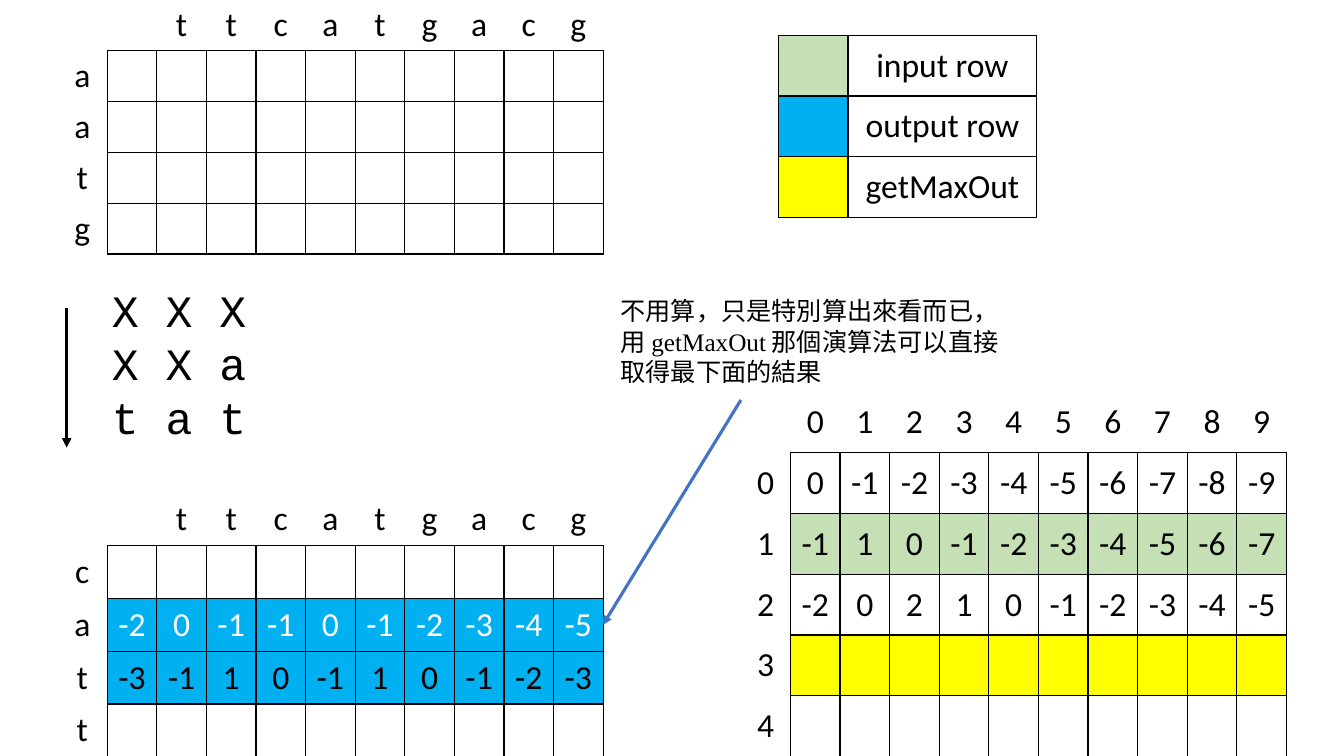
from lxml import etree
from pptx import Presentation
from pptx import util as u
from pptx.dml.color import RGBColor
from pptx.enum import shapes, text
from pptx.oxml import ns

HUES = {"ink": "000000", "pale": "FFFFFF", "input": "C5E0B4",
        "output": "00B0F0", "max": "FFFF00", "link": "4472C4"}
BASES = " ttcatgacg"
EMPTY = [""] * 10

GRIDS = [
    {"at": (1.45, 0), "cols": [1.25] * 11, "row": 1.28, "head": True,
     "rows": [["", *BASES]] + [[base, *EMPTY] for base in "aatg"],
     "fills": {}, "pale": None},
    {"at": (18.67, 9.88), "cols": [1.25] * 11, "row": 1.53, "head": True,
     "rows": [["", *range(10)],
              [0, 0, -1, -2, -3, -4, -5, -6, -7, -8, -9],
              [1, -1, 1, 0, -1, -2, -3, -4, -5, -6, -7],
              [2, -2, 0, 2, 1, 0, -1, -2, -3, -4, -5],
              [3, *EMPTY],
              [4, *EMPTY]],
     "fills": {2: "input", 4: "max"}, "pale": None},
    {"at": (1.45, 12.42), "cols": [1.25] * 11, "row": 1.33, "head": True,
     "rows": [["", *BASES],
              ["c", *EMPTY],
              ["a", -2, 0, -1, -1, 0, -1, -2, -3, -4, -5],
              ["t", -3, -1, 1, 0, -1, 1, 0, -1, -2, -3],
              ["t", *EMPTY]],
     "fills": {2: "output", 3: "output"}, "pale": 2},
    {"at": (19.61, 0.89), "cols": [1.76, 4.76], "row": 1.53, "head": False,
     "rows": [["", "input row"], ["", "output row"], ["", "getMaxOut"]],
     "fills": {0: "input", 1: "output", 2: "max"}, "pale": None},
]

MONO, CJK, SERIF = "Courier New", "Noto Sans CJK SC", "Times New Roman"
NOTES = [
    {"box": (2.57, 6.99, 13.97, 4.37), "size": 32, "lead": None,
     "lines": [[("X X X", MONO)], [("X X a", MONO)], [("t a t", MONO)]]},
    {"box": (15.39, 7.32, 10.16, 2.57), "size": 18, "lead": 21.8,
     "lines": [[("不用算，只是特別算出來看而已，", CJK)],
               [("用 ", CJK), ("getMaxOut", SERIF),
                (" 那個演算法可以直接取得最下面的結果", CJK)]]},
]

ARROWS = [((18.67, 10.08, 15.19, 15.75), "link"),
          ((1.68, 7.77, 1.68, 11.28), "ink")]


def tint(name):
    return RGBColor.from_string(HUES[name])


def style(run, face, size, hue="ink"):
    for key, value in {"name": face, "size": u.Pt(size)}.items():
        setattr(run.font, key, value)
    run.font.color.rgb = tint(hue)
    if face == CJK:
        east = etree.SubElement(run.font._element, ns.qn("a:ea"))
        east.set("typeface", face)


def edge(cell, sides):
    props = cell._tc.get_or_add_tcPr()
    for spot, side in enumerate("LRTB"):
        line = etree.Element(ns.qn("a:ln" + side), w="12700")
        if side in sides:
            paint = etree.SubElement(line, ns.qn("a:solidFill"))
            etree.SubElement(paint, ns.qn("a:srgbClr"), val=HUES["ink"])
        else:
            etree.SubElement(line, ns.qn("a:noFill"))
        props.insert(spot, line)


def fill_cell(cell, value, fill, hue, sides):
    form = {"margin_left": 0, "margin_right": 0, "margin_top": 0,
            "margin_bottom": 0, "vertical_anchor": text.MSO_ANCHOR.MIDDLE}
    for key, size in form.items():
        setattr(cell, key, size)
    if fill:
        cell.fill.solid()
        cell.fill.fore_color.rgb = tint(fill)
    else:
        cell.fill.background()
    edge(cell, sides)
    label = str(value).strip()
    if label:
        para = cell.text_frame.paragraphs[0]
        para.alignment = text.PP_ALIGN.CENTER
        run = para.add_run()
        run.text = label
        style(run, "Calibri", 24, hue)


def add_grid(slide, grid):
    rows, cols = grid["rows"], grid["cols"]
    size = (sum(cols), grid["row"] * len(rows))
    place = [u.Cm(n) for n in (*grid["at"], *size)]
    table = slide.shapes.add_table(len(rows), len(cols), *place).table
    table.first_row = table.horz_banding = False
    for col, width in zip(table.columns, cols):
        col.width = u.Cm(width)
    for r, row in enumerate(rows):
        table.rows[r].height = u.Cm(grid["row"])
        for c, value in enumerate(row):
            sides, fill, hue = "LRTB", None, "ink"
            if grid["head"] and (r == 0 or c == 0):
                sides = ("B" if c else "") if r == 0 else "R"
            elif grid["head"] or c == 0:
                fill = grid["fills"].get(r)
                hue = "pale" if r == grid["pale"] else "ink"
            fill_cell(table.cell(r, c), value, fill, hue, sides)


def add_note(slide, note):
    box = slide.shapes.add_textbox(*[u.Cm(n) for n in note["box"]])
    frame = box.text_frame
    frame.word_wrap = True
    for i, line in enumerate(note["lines"]):
        para = frame.add_paragraph() if i else frame.paragraphs[0]
        if note["lead"]:
            para.line_spacing = u.Pt(note["lead"])
        for words, face in line:
            run = para.add_run()
            run.text = words
            style(run, face, note["size"])


def add_arrow(slide, ends, hue):
    arrow = slide.shapes.add_connector(
        shapes.MSO_CONNECTOR.STRAIGHT, *[u.Cm(n) for n in ends])
    arrow.line.width = u.Pt(2.25)
    arrow.line.color.rgb = tint(hue)
    etree.SubElement(arrow.line._get_or_add_ln(), ns.qn("a:tailEnd"),
                     type="triangle")
    etree.SubElement(arrow._element.spPr, ns.qn("a:effectLst"))


def main():
    deck = Presentation()
    deck.slide_width, deck.slide_height = u.Cm(33.87), u.Cm(19.05)
    slide = deck.slides.add_slide(deck.slide_layouts[6])
    for grid in GRIDS:
        add_grid(slide, grid)
    for note in NOTES:
        add_note(slide, note)
    for ends, hue in ARROWS:
        add_arrow(slide, ends, hue)
    deck.save("out.pptx")


if __name__ == "__main__":
    main()
